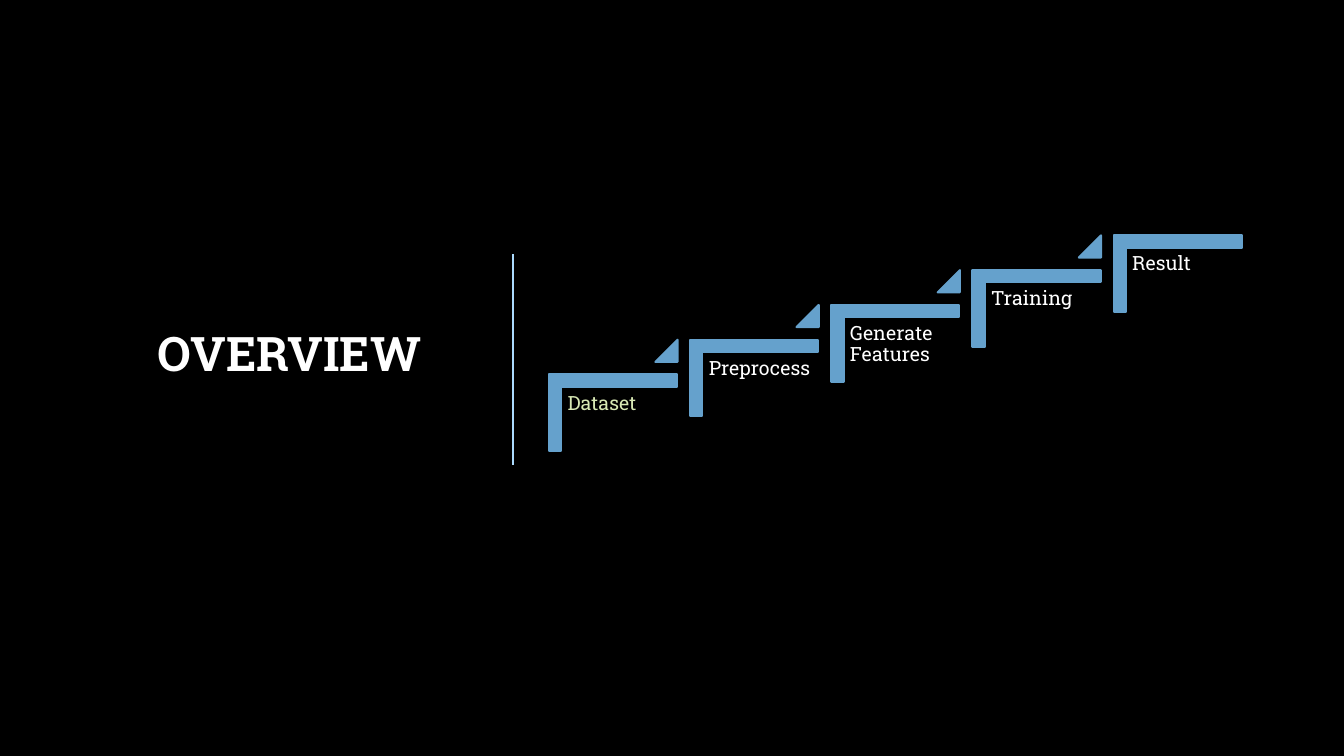
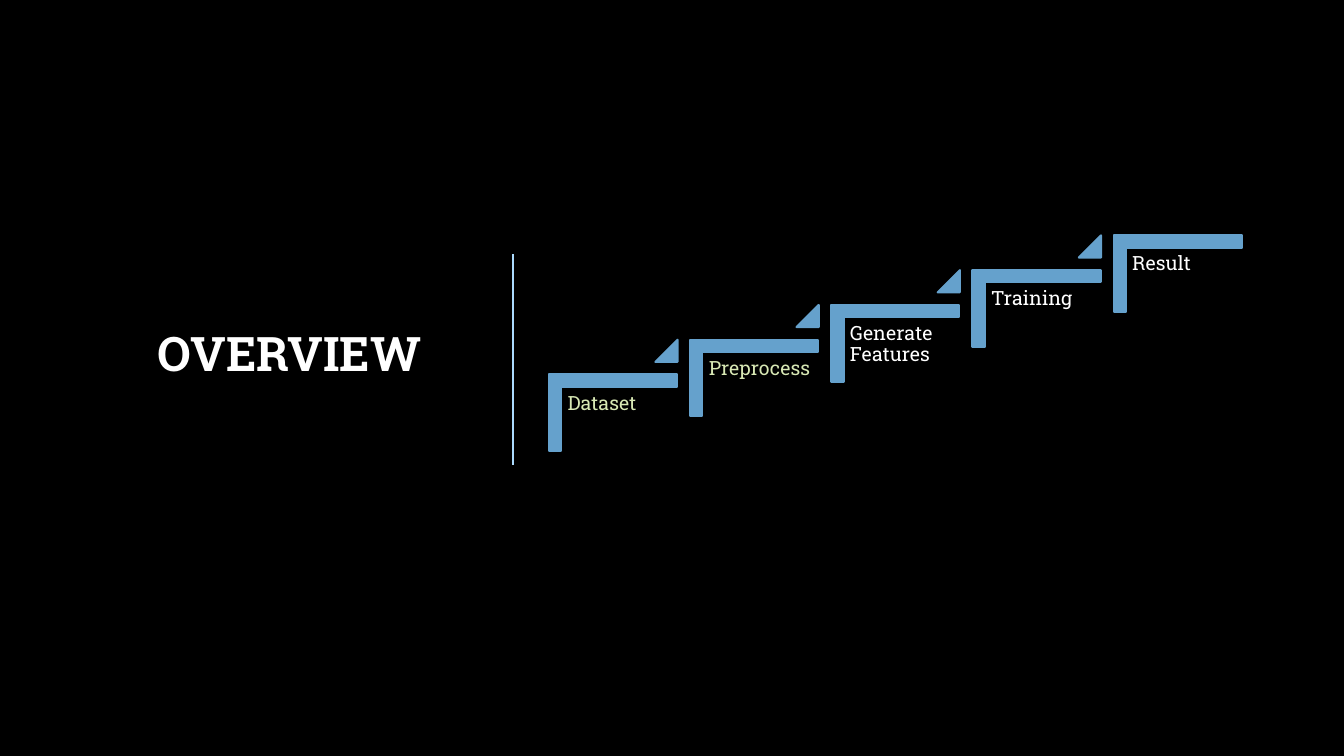
import pptx
import pptx.dml.color
import pptx.enum.shapes
import pptx.enum.text
import pptx.oxml.ns
import pptx.util
from lxml import etree
from pptx.util import Inches

TITLE = "OVERVIEW"
STAGES = ["Dataset", "Preprocess", "Generate Features", "Training", "Result"]
HIGHLIGHTED_COUNTS = [1, 2]  # one slide for each count

FONT = "Roboto Slab"
BLACK = "000000"
WHITE = "FFFFFF"
BLUE = "65A1CC"
PALE_BLUE = "ABDAFC"
PALE_GREEN = "D8E8B4"

# Staircase, in inches; the bracket size is before its quarter turn
FIRST_LEFT, STAGE_PITCH = 5.7, 1.4
FIRST_TOP, LAST_TOP = 3.46, 2.08
STAGE_RISE = (FIRST_TOP - LAST_TOP) / (len(STAGES) - 1)
BRACKET_WIDTH, BRACKET_HEIGHT = 0.76, 1.27
BRACKET_THICKNESS = 0.16
LABEL_OFFSET = (-0.13, 0.38)
LABEL_SIZE = (1.14, 1)
TRIANGLE_OFFSET = (0.8, -0.09)
TRIANGLE_SIDE = 0.22


def rgb(color):
    return pptx.dml.color.RGBColor.from_string(color)


def add_text(slide, text, left, top, width, height, size, color):
    """Add a wrapped text box and return its text frame."""
    box = slide.shapes.add_textbox(Inches(left), Inches(top), Inches(width), Inches(height))
    frame = box.text_frame
    frame.word_wrap = True
    paragraph = frame.paragraphs[0]
    paragraph.text = text
    paragraph.line_spacing = 0.9
    paragraph.font.name = FONT
    paragraph.font.size = pptx.util.Pt(size)
    paragraph.font.color.rgb = rgb(color)
    return frame


def add_blue_shape(slide, kind, left, top, width, height, adjustments):
    shape = slide.shapes.add_shape(
        kind, Inches(left), Inches(top), Inches(width), Inches(height))
    shape.shadow.inherit = False
    shape.fill.solid()
    shape.fill.fore_color.rgb = rgb(BLUE)
    shape.line.color.rgb = rgb(BLUE)
    shape.line.width = pptx.util.Pt(1.5)
    for index, value in enumerate(adjustments):
        shape.adjustments[index] = value
    return shape


def add_title(slide):
    frame = add_text(slide, TITLE, 1, 1.01, 3.74, 5.05, 34, WHITE)
    frame.vertical_anchor = pptx.enum.text.MSO_ANCHOR.MIDDLE
    paragraph = frame.paragraphs[0]
    paragraph.alignment = pptx.enum.text.PP_ALIGN.CENTER
    paragraph.font.bold = True


def add_divider(slide):
    divider = slide.shapes.add_connector(
        pptx.enum.shapes.MSO_CONNECTOR.STRAIGHT,
        Inches(5.09), Inches(2.52), Inches(5.09), Inches(4.61))
    divider.line.color.rgb = rgb(PALE_BLUE)
    divider.line.width = pptx.util.Pt(1)
    properties = divider.element.find(pptx.oxml.ns.qn("p:spPr"))
    etree.SubElement(properties, pptx.oxml.ns.qn("a:effectLst"))


def add_stage(slide, index, label, color):
    """Add one stair: a bracket, its label and, except on the last, a triangle."""
    shape_kinds = pptx.enum.shapes.MSO_SHAPE
    left = FIRST_LEFT + index * STAGE_PITCH
    top = FIRST_TOP - index * STAGE_RISE

    bracket = add_blue_shape(slide, shape_kinds.CORNER, left, top,
                             BRACKET_WIDTH, BRACKET_HEIGHT, [BRACKET_THICKNESS] * 2)
    bracket.rotation = 90

    frame = add_text(slide, label, left + LABEL_OFFSET[0], top + LABEL_OFFSET[1],
                     *LABEL_SIZE, 14, color)
    frame.margin_left = frame.margin_right = Inches(0.06)
    frame.margin_top = frame.margin_bottom = Inches(0.06)

    if index < len(STAGES) - 1:
        add_blue_shape(slide, shape_kinds.ISOSCELES_TRIANGLE,
                       left + TRIANGLE_OFFSET[0], top + TRIANGLE_OFFSET[1],
                       TRIANGLE_SIDE, TRIANGLE_SIDE, [1])


def add_overview_slide(presentation, highlighted_count):
    slide = presentation.slides.add_slide(presentation.slide_layouts[6])
    add_title(slide)
    add_divider(slide)
    for index, label in enumerate(STAGES):
        color = PALE_GREEN if index < highlighted_count else WHITE
        add_stage(slide, index, label, color)


def main():
    presentation = pptx.Presentation()
    presentation.slide_width = Inches(13.33)
    presentation.slide_height = Inches(7.5)
    background = presentation.slide_master.background.fill
    background.solid()
    background.fore_color.rgb = rgb(BLACK)
    for highlighted_count in HIGHLIGHTED_COUNTS:
        add_overview_slide(presentation, highlighted_count)
    presentation.save("out.pptx")


if __name__ == "__main__":
    main()
